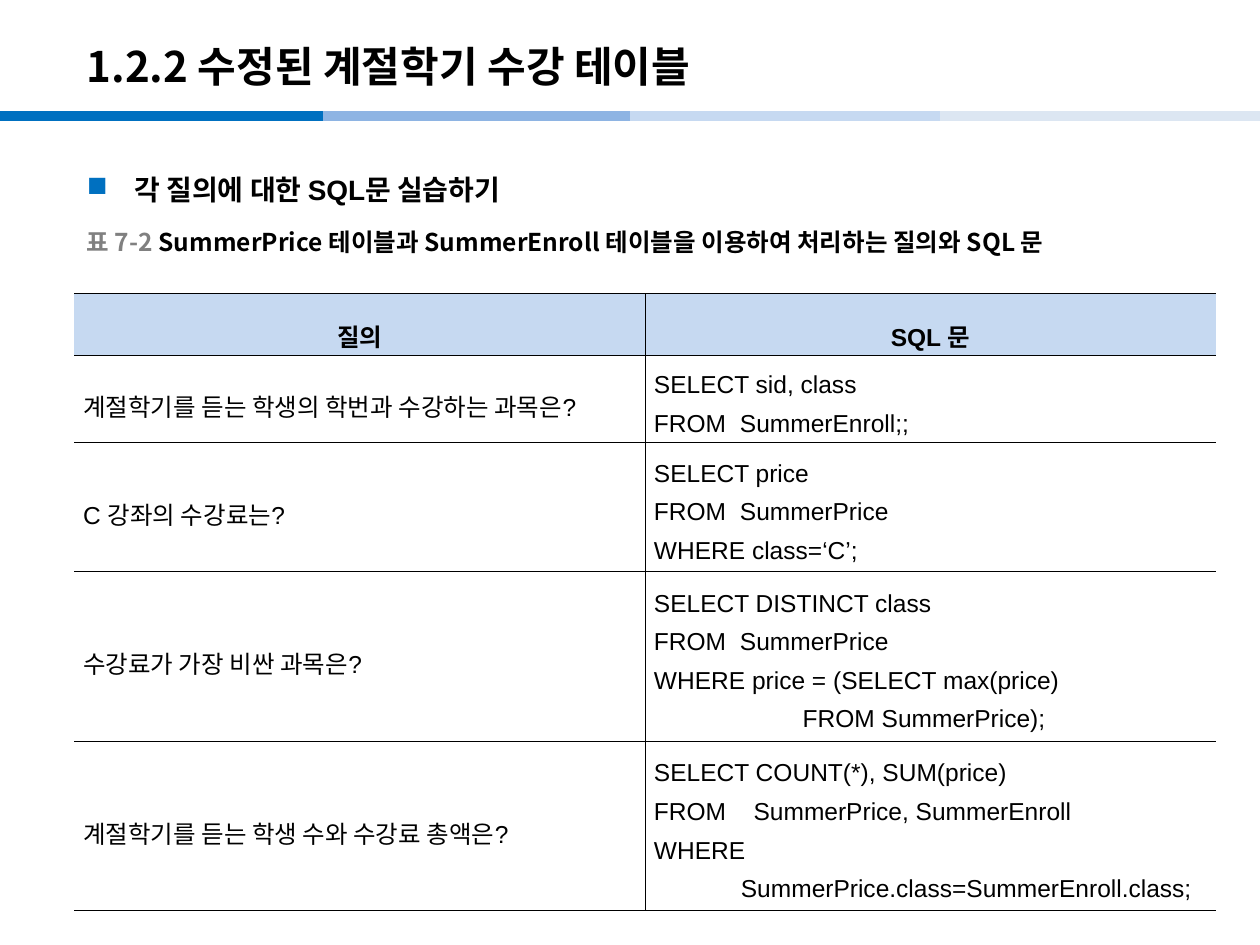
"""Build the slide on SQL queries for the revised summer enrolment tables."""
from dataclasses import dataclass

from lxml.etree import SubElement
from pptx import Presentation
from pptx.dml.color import RGBColor
from pptx.enum.shapes import MSO_CONNECTOR
from pptx.enum.text import MSO_ANCHOR as Anchor, PP_ALIGN as Align
from pptx.oxml.ns import qn
from pptx.util import Inches, Pt

KOREAN = "Noto Sans CJK KR"
LATIN = "Arial"
BLACK = "000000"
GREY = "808080"
BLUE = "0070C0"
PALE_BLUE = "C6D9F1"
NARROW_GAP = 3.9
WIDE_GAP = 11.7


@dataclass
class Band:
    start: float
    color: str


@dataclass
class Span:
    text: str
    size: float = 14
    font: str = LATIN
    color: str = BLACK
    bold: bool = False
    spacing: float = 0


@dataclass
class Line:
    spans: list[Span]
    spacing: float = 1.0
    left: float = 0
    hanging: float = 0
    bullet: str = ""
    align: Align = Align.LEFT


@dataclass
class Code:
    text: str
    left: float = 0
    hanging: float = 0
    gap: float = 0


@dataclass
class Query:
    height: float
    question: str
    code: list[Code]


BANDS = [Band(0, BLUE), Band(2.56, "8EB4E3"), Band(5, PALE_BLUE), Band(7.46, "DCE6F2")]
QUERIES = [
    Query(0.67, "계절학기를 듣는 학생의 학번과 수강하는 과목은?",
          [Code("SELECT sid, class"), Code("FROM SummerEnroll;;", gap=NARROW_GAP)]),
    Query(1, "C 강좌의 수강료는?",
          [Code("SELECT price"), Code("FROM SummerPrice", gap=NARROW_GAP),
           Code("WHERE class=‘C’;")]),
    Query(1.33, "수강료가 가장 비싼 과목은?",
          [Code("SELECT DISTINCT class"), Code("FROM SummerPrice", gap=NARROW_GAP),
           Code("WHERE price = (SELECT max(price)"), Code("FROM SummerPrice);", left=1.18)]),
    Query(1.26, "계절학기를 듣는 학생 수와 수강료 총액은?",
          [Code("SELECT COUNT(*), SUM(price)"),
           Code("FROM SummerPrice, SummerEnroll", gap=WIDE_GAP),
           Code("WHERE SummerPrice.class=SummerEnroll.class;", 0.69, 0.69, WIDE_GAP)]),
]


def rgb(value: str) -> RGBColor:
    """Turn a hex string into a colour."""
    return RGBColor.from_string(value)


def add_band(page, band: Band) -> None:
    """Draw one segment of the bar under the title."""
    bar = page.shapes.add_connector(
        MSO_CONNECTOR.STRAIGHT, Inches(band.start), Inches(0.92),
        Inches(band.start + 2.56), Inches(0.92))
    bar.line.color.rgb = rgb(band.color)
    bar.line.width = Pt(6)
    SubElement(bar._element.spPr, qn("a:effectLst"))


def add_span(para, item: Span) -> None:
    """Add one formatted run, with its East Asian font and spacing."""
    span = para.add_run()
    span.text = item.text
    values = {"size": Pt(item.size), "name": item.font, "bold": item.bold}
    for name, value in values.items():
        setattr(span.font, name, value)
    span.font.color.rgb = rgb(item.color)
    props = span.font._element
    props.set("kern", "0")
    if item.spacing:
        props.set("spc", str(round(item.spacing * 100)))
    SubElement(props, qn("a:ea"), typeface=KOREAN)


def write_lines(frame, lines: list[Line]) -> None:
    """Fill a text frame with paragraphs."""
    for index, line in enumerate(lines):
        para = frame.add_paragraph() if index else frame.paragraphs[0]
        para.alignment = line.align
        para.line_spacing = line.spacing
        props = para._p.get_or_add_pPr()
        props.set("marL", str(Inches(line.left)))
        props.set("indent", str(-Inches(line.hanging)))
        if line.bullet:
            color = SubElement(props, qn("a:buClr"))
            SubElement(color, qn("a:srgbClr"), val=BLUE)
            SubElement(props, qn("a:buChar"), char=line.bullet)
        for item in line.spans:
            add_span(para, item)


def add_text(page, place: tuple[float, float, float, float], line: Line,
             anchor: Anchor = Anchor.MIDDLE) -> None:
    """Add a text box holding one paragraph."""
    box = page.shapes.add_textbox(*map(Inches, place))
    box.text_frame.word_wrap = True
    box.text_frame.vertical_anchor = anchor
    write_lines(box.text_frame, [line])


def code_line(code: Code) -> Line:
    """Set a line of SQL, widening the space after its keyword if asked."""
    spans = [Span(code.text)]
    if code.gap:
        keyword, space, rest = code.text.partition(" ")
        spans = [Span(keyword), Span(space, spacing=code.gap), Span(rest)]
    return Line(spans, 1.4, code.left, code.hanging)


def add_borders(cell, sides: str) -> None:
    """Draw thin lines on the named sides and none on the others."""
    props = cell._tc.get_or_add_tcPr()
    for side in "LRTB":
        edge = SubElement(props, qn(f"a:ln{side}"), w=str(Pt(0.28)))
        if side in sides:
            fill = SubElement(edge, qn("a:solidFill"))
            SubElement(fill, qn("a:srgbClr"), val=BLACK)
        else:
            SubElement(edge, qn("a:noFill"))


def fill_cell(cell, lines: list[Line], sides: str, color: str = "") -> None:
    """Set the margins, borders, fill and text of a table cell."""
    values = {"margin_left": Inches(0.07), "margin_right": Inches(0.07),
              "margin_top": Inches(0.02), "margin_bottom": Inches(0.02),
              "vertical_anchor": Anchor.MIDDLE}
    for name, value in values.items():
        setattr(cell, name, value)
    add_borders(cell, sides)
    if color:
        cell.fill.solid()
        cell.fill.fore_color.rgb = rgb(color)
    else:
        cell.fill.background()
    write_lines(cell.text_frame, lines)


def add_query_table(page) -> None:
    """Add the table of questions and their SQL statements."""
    heights = [0.49] + [query.height for query in QUERIES]
    table = page.shapes.add_table(len(heights), 2, Inches(0.59), Inches(2.33),
                                  Inches(9.06), Inches(sum(heights))).table
    table.first_row = table.horz_banding = False
    for row, height in zip(table.rows, heights):
        row.height = Inches(height)
    borders = ("RTB", "LTB")
    for column, heading in enumerate(("질의", "SQL 문")):
        title = Line([Span(heading, bold=True)], 1.6, align=Align.CENTER)
        fill_cell(table.cell(0, column), [title], borders[column], PALE_BLUE)
    for row, query in enumerate(QUERIES, 1):
        question = Line([Span(query.question)], 1.4)
        fill_cell(table.cell(row, 0), [question], borders[0])
        fill_cell(table.cell(row, 1), [code_line(code) for code in query.code], borders[1])


def main() -> None:
    """Build and save the deck."""
    deck = Presentation()
    deck.slide_width, deck.slide_height = Inches(10), Inches(7.5)
    page = deck.slides.add_slide(deck.slide_layouts[6])
    for band in BANDS:
        add_band(page, band)
    add_text(page, (0.59, 0.22, 8.27, 0.6),
             Line([Span("1.2.2 수정된 계절학기 수강 테이블", 24, KOREAN, bold=True)]))
    add_text(page, (0.59, 1.19, 8.82, 5.98),
             Line([Span("각 질의에 대한 SQL문 실습하기", 16, bold=True)], 1.5, 0.38, 0.38, "■"),
             Anchor.TOP)
    add_query_table(page)
    caption = "SummerPrice 테이블과 SummerEnroll 테이블을 이용하여 처리하는 질의와 SQL 문"
    add_text(page, (0.59, 1.76, 8.82, 0.31),
             Line([Span("표 7-2 ", 14, KOREAN, GREY, True), Span(caption, 14, KOREAN, bold=True)]))
    deck.save("out.pptx")


if __name__ == "__main__":
    main()
